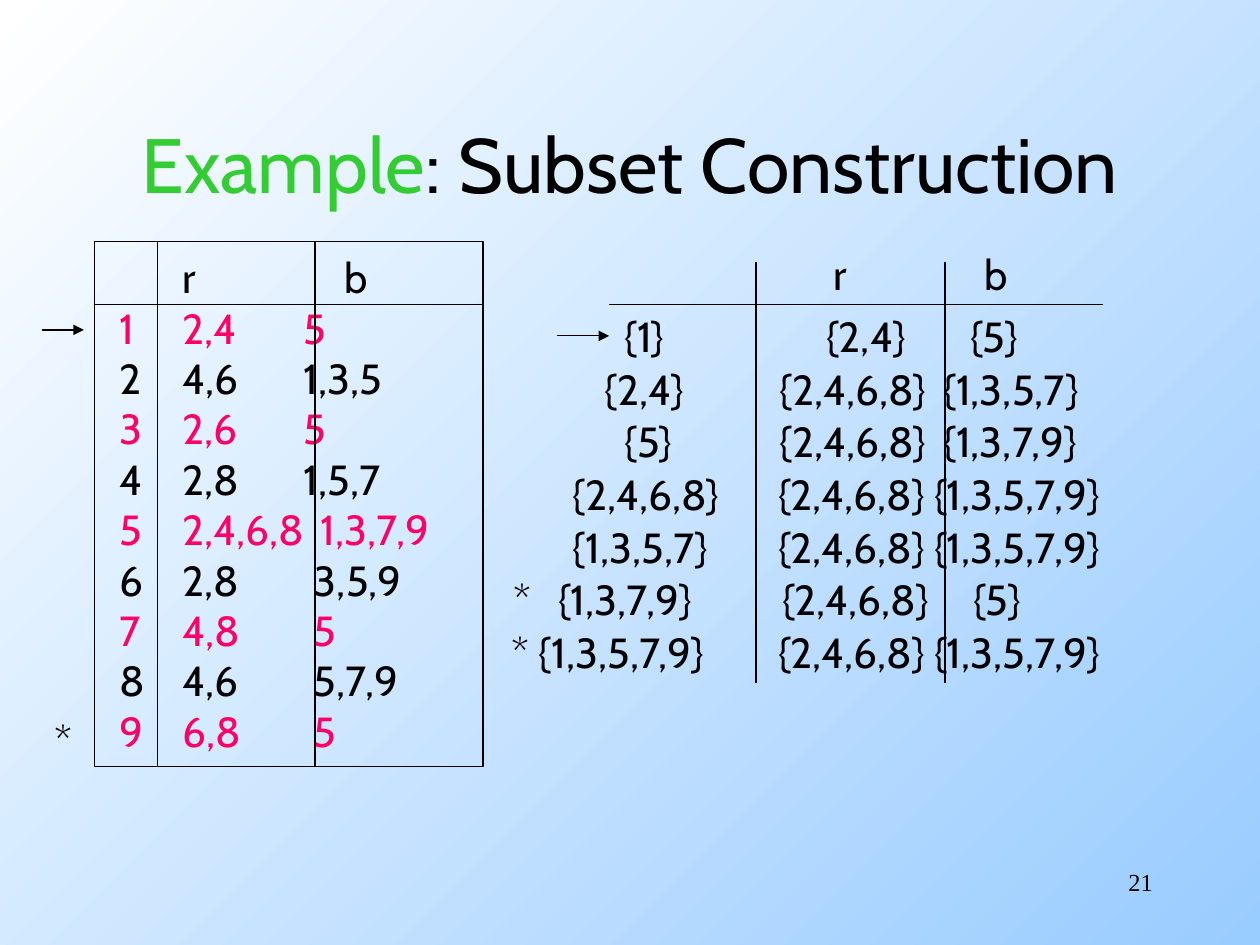
from dataclasses import dataclass

from lxml.etree import SubElement
from pptx import Presentation
from pptx.dml.color import RGBColor
from pptx.enum.shapes import MSO_CONNECTOR, MSO_SHAPE
from pptx.enum.text import MSO_ANCHOR, PP_ALIGN
from pptx.oxml.ns import qn
from pptx.util import Cm, Pt


@dataclass(frozen=True)
class Theme:
    black: RGBColor = RGBColor(0x00, 0x00, 0x00)
    green: RGBColor = RGBColor(0x33, 0xCC, 0x33)
    pink: RGBColor = RGBColor(0xFF, 0x00, 0x66)
    white: RGBColor = RGBColor(0xFF, 0xFF, 0xFF)
    sky: RGBColor = RGBColor(0x99, 0xCC, 0xFF)
    font: str = "Cabin"
    number_font: str = "Times New Roman"
    title: Pt = Pt(44)
    body: Pt = Pt(24)
    number: Pt = Pt(14)
    line: Pt = Pt(0.75)


THEME = Theme()
INDENT = 1.27

# Texts under r and b, and the tab stop of b in cm
NFA_ROWS = [
    ("2,4", "5", 3.71),
    ("4,6", "1,3,5", 3.71),
    ("2,6", "5", 3.71),
    ("2,8", "1,5,7", 3.71),
    ("2,4,6,8", "1,3,7,9", 4.06),
    ("2,8", "3,5,9", 3.92),
    ("4,8", "5", 3.92),
    ("4,6", "5,7,9", 3.92),
    ("6,8", "5", 3.92),
]

# For the state and then for its moves: text, left, width and tab stop in cm
FULL_MOVES = ("{2,4,6,8} {1,3,5,7,9}", 15.44, 7.95, None)
DFA_ROWS = [
    (("{1}", 12.34, 1.63, None), ("{2,4}\t{5}", 16.41, 5, 2.9)),
    (("{2,4}", 11.94, 2.34, None), ("{2,4,6,8}\t{1,3,5,7}", 15.47, 7.47, 3.3)),
    (("{5}", 12.34, 1.63, None), ("{2,4,6,8}\t{1,3,7,9}", 15.47, 7.47, 3.3)),
    (("{2,4,6,8}", 11.3, 3.76, None), FULL_MOVES),
    (("{1,3,5,7}", 11.3, 3.76, None), FULL_MOVES),
    (("*\t{1,3,7,9}", 10.11, 4.9, 0.89), ("{2,4,6,8}\t{5}", 15.52, 5.99, 3.85)),
    (("* {1,3,5,7,9}", 10.06, 5.16, None), FULL_MOVES),
]
DFA_TOP, DFA_PITCH = 6.14, 1.06


def format_run(run, color=THEME.black, size=THEME.body, font=THEME.font):
    run.font.name = font
    run.font.size = size
    run.font.color.rgb = color


def add_tab_stop(paragraph, position):
    tabs = SubElement(paragraph._p.get_or_add_pPr(), qn("a:tabLst"))
    SubElement(tabs, qn("a:tab"), pos=str(Cm(position)), algn="l")


def add_text(slide, text, left, top, width, height=1.27, tab=None, **style):
    box = slide.shapes.add_textbox(Cm(left), Cm(top), Cm(width), Cm(height))
    box.text_frame.word_wrap = True
    paragraph = box.text_frame.paragraphs[0]
    paragraph.text = text
    if tab:
        add_tab_stop(paragraph, tab)
    format_run(paragraph.runs[0], **style)
    return box


def add_line(slide, x1, y1, x2, y2, arrow=False):
    line = slide.shapes.add_connector(
        MSO_CONNECTOR.STRAIGHT, Cm(x1), Cm(y1), Cm(x2), Cm(y2))
    line.line.color.rgb = THEME.black
    line.line.width = THEME.line
    if arrow:
        SubElement(line.line._get_or_add_ln(), qn("a:tailEnd"), type="triangle")
    SubElement(line._element.spPr, qn("a:effectLst"))


def fill_background(slide):
    fill = slide.background.fill
    fill.gradient()
    fill.gradient_angle = 315
    for stop, position, color in zip(
            fill.gradient_stops, (0, 1), (THEME.white, THEME.sky)):
        stop.position = position
        stop.color.rgb = color


def set_title(slide):
    title = slide.shapes.title
    title.left, title.top, title.width, title.height = (
        Cm(1.91), Cm(1.69), Cm(21.59), Cm(3.18))
    title.text_frame.vertical_anchor = MSO_ANCHOR.MIDDLE
    paragraph = title.text_frame.paragraphs[0]
    paragraph.alignment = PP_ALIGN.CENTER
    for text, color in (("Example", THEME.green),
                        (": Subset Construction", THEME.black)):
        run = paragraph.add_run()
        run.text = text
        format_run(run, color, THEME.title)


def add_nfa_row(text_frame, number, row):
    paragraph = text_frame.add_paragraph()
    *inputs, tab = row
    paragraph.text = "\t".join(inputs)
    properties = paragraph._p.get_or_add_pPr()
    properties.set("marL", str(Cm(INDENT)))
    properties.set("indent", str(-Cm(INDENT)))
    SubElement(properties, qn("a:buAutoNum"), type="arabicPlain")
    add_tab_stop(paragraph, tab)
    format_run(paragraph.runs[0], THEME.pink if number % 2 else THEME.black)


def add_nfa_table(slide):
    left, top, right, bottom = 1.91, 4.87, 9.74, 15.45
    box = add_text(slide, "r\tb", 2.16, 4.95, 7.44, 10.41, tab=3.27)
    box.text_frame.paragraphs[0]._p.get_or_add_pPr().set("marL", str(Cm(INDENT)))
    for number, row in enumerate(NFA_ROWS, start=1):
        add_nfa_row(box.text_frame, number, row)

    frame = slide.shapes.add_shape(
        MSO_SHAPE.RECTANGLE, Cm(left), Cm(top), Cm(right - left), Cm(bottom - top))
    frame.shadow.inherit = False
    frame.fill.background()
    frame.line.color.rgb = THEME.black
    frame.line.width = THEME.line
    for x in (3.18, 6.35):
        add_line(slide, x, top, x, bottom)
    add_line(slide, left, DFA_TOP, right, DFA_TOP)
    add_line(slide, 0.85, 6.65, 1.69, 6.65, arrow=True)
    add_text(slide, "*", 0.85, 14.27, 0.97)


def add_dfa_table(slide):
    add_text(slide, "r\tb", 16.56, 4.88, 4.22, tab=3.03)
    add_line(slide, 12.28, DFA_TOP, 22.23, DFA_TOP)
    for x in (15.24, 19.05):
        add_line(slide, x, 5.29, x, 13.76)
    for index, cells in enumerate(DFA_ROWS):
        for text, left, width, tab in cells:
            add_text(slide, text, left, DFA_TOP + index * DFA_PITCH, width, tab=tab)
    add_line(slide, 11.22, 6.77, 12.28, 6.77, arrow=True)


def main():
    presentation = Presentation()
    presentation.slide_width, presentation.slide_height = Cm(25.4), Cm(19.05)
    slide = presentation.slides.add_slide(presentation.slide_layouts[5])
    fill_background(slide)
    set_title(slide)
    add_nfa_table(slide)
    add_dfa_table(slide)
    number = add_text(slide, "21", 18.2, 17.36, 5.29,
                      size=THEME.number, font=THEME.number_font)
    number.text_frame.paragraphs[0].alignment = PP_ALIGN.RIGHT
    presentation.save("out.pptx")


if __name__ == "__main__":
    main()
